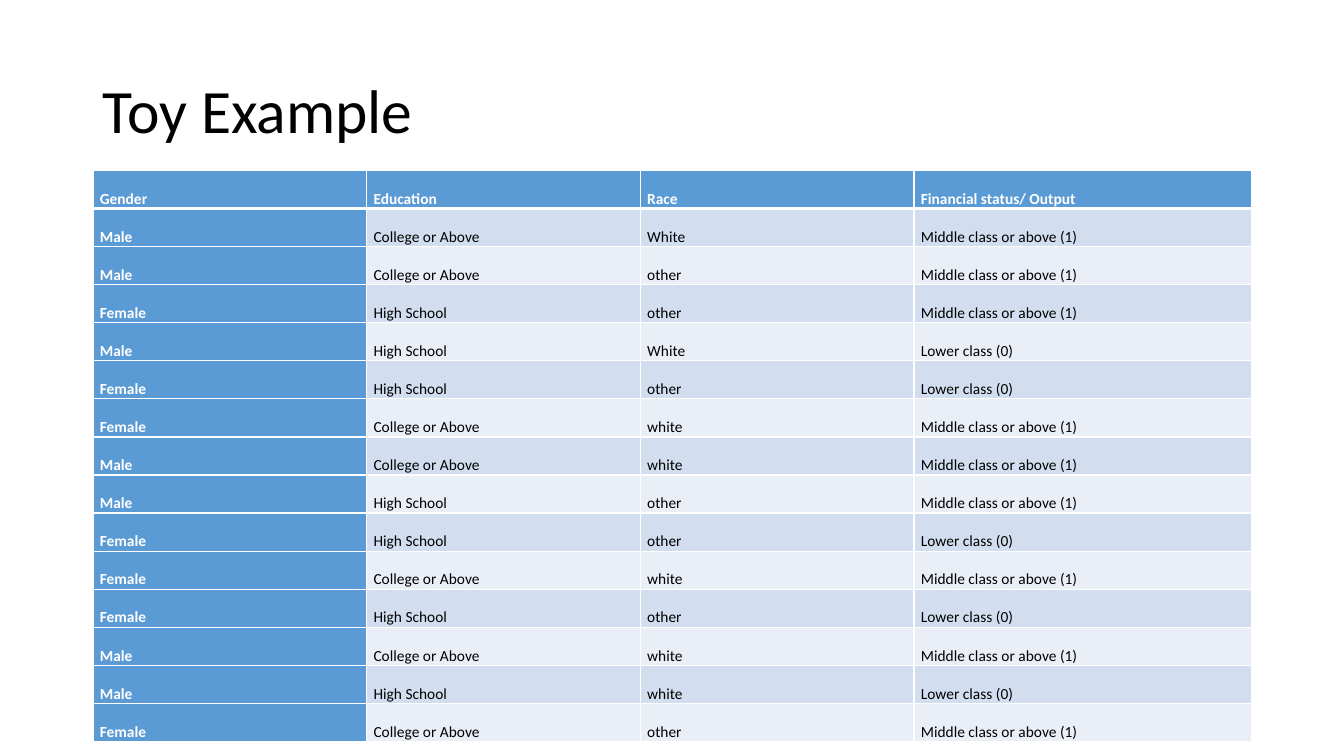
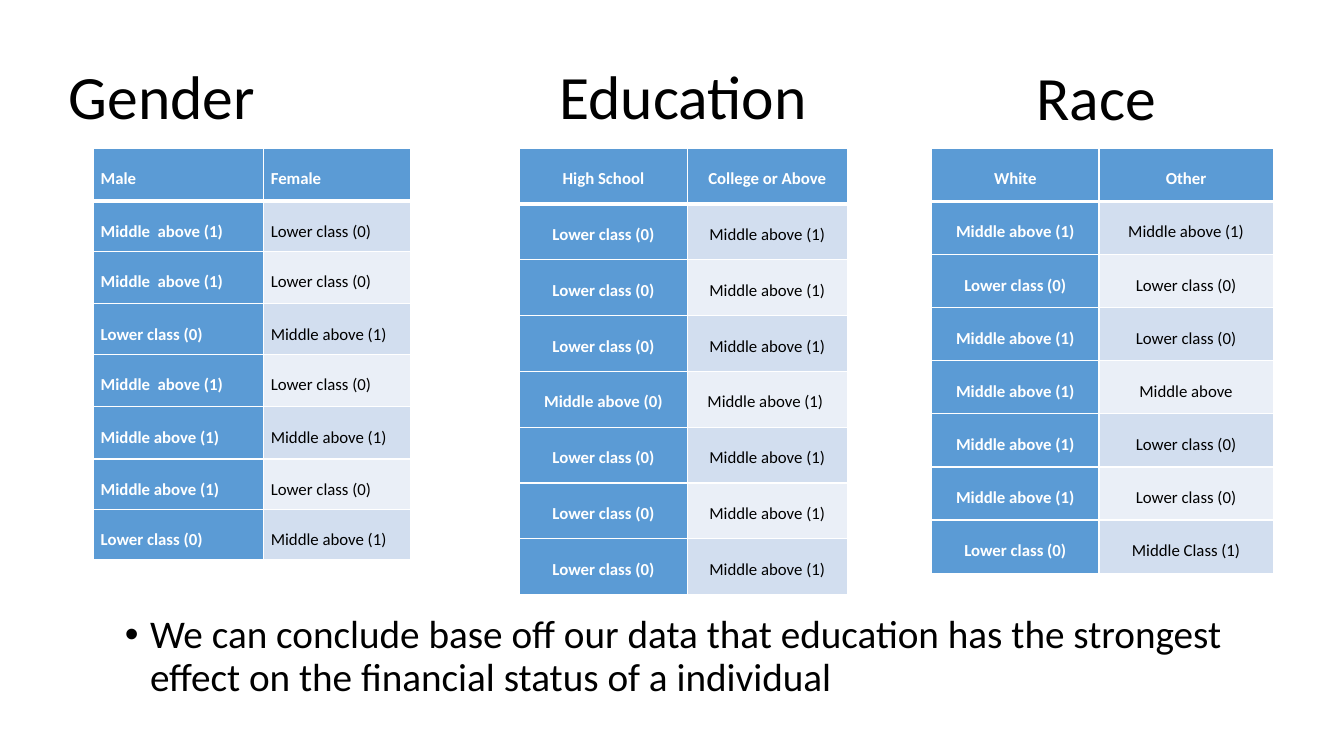
from dataclasses import dataclass

from lxml import etree
from pptx import Presentation
from pptx import util as u
from pptx.dml import color
from pptx.enum import text
from pptx.oxml import ns

COLORS = {"ink": "000000", "white": "FFFFFF", "blue": "5B9BD5",
          "band_dark": "D2DEEF", "band_light": "EAEFF7"}
FONT = "Calibri"
TITLE_SIZE = 44
BODY_SIZE = 28
LINE_SPACING = 0.9
CELL_INSET = 4.95
THIN, THICK = 1, 3

MIDDLE_CLASS = "Middle class or above (1)"
MIDDLE = "Middle above (1)"
MIDDLE_WIDE = "Middle  above (1)"
LOWER = "Lower class (0)"
COLLEGE = "College or Above"
SCHOOL = "High School"


@dataclass(frozen=True)
class Box:
    left: float
    top: float
    width: float
    height: float


@dataclass(frozen=True)
class Heading:
    text: str
    box: Box


@dataclass(frozen=True)
class DataTable:
    left: float
    top: float
    column_widths: tuple[float, ...]
    row_heights: tuple[float, ...]
    font_size: float
    alignment: text.PP_ALIGN
    rows: tuple[tuple[str, ...], ...]


SAMPLE_HEADING = Heading("Toy Example", Box(66, 28.8, 828, 104.4))
SAMPLE_TABLE = DataTable(
    66.4, 121.8, (195.5, 195.5, 195.5, 241.5), (23,) * 15, 11, text.PP_ALIGN.LEFT,
    (
        ("Gender", "Education", "Race", "Financial status/ Output"),
        ("Male", COLLEGE, "White", MIDDLE_CLASS),
        ("Male", COLLEGE, "other", MIDDLE_CLASS),
        ("Female", SCHOOL, "other", MIDDLE_CLASS),
        ("Male", SCHOOL, "White", LOWER),
        ("Female", SCHOOL, "other", LOWER),
        ("Female", COLLEGE, "white", MIDDLE_CLASS),
        ("Male", COLLEGE, "white", MIDDLE_CLASS),
        ("Male", SCHOOL, "other", MIDDLE_CLASS),
        ("Female", SCHOOL, "other", LOWER),
        ("Female", COLLEGE, "white", MIDDLE_CLASS),
        ("Female", SCHOOL, "other", LOWER),
        ("Male", COLLEGE, "white", MIDDLE_CLASS),
        ("Male", SCHOOL, "white", LOWER),
        ("Female", COLLEGE, "other", MIDDLE_CLASS),
    ),
)

GENDER_HEADING = Heading("Gender", Box(41.8, 18.7, 159.8, 104.4))
FACTOR_HEADINGS = (
    Heading("Education", Box(392.4, 18.7, 192.2, 104.4)),
    Heading("Race", Box(733, 37.4, 109.4, 68.4)),
)
FACTOR_TOP = 106
FACTOR_TABLES = (
    DataTable(
        67, FACTOR_TOP, (121.5, 104.5), (37.5, 36, 37.5, 36, 37.5, 37.5, 36, 36),
        12, text.PP_ALIGN.LEFT,
        (
            ("Male", "Female"),
            (MIDDLE_WIDE, LOWER),
            (MIDDLE_WIDE, LOWER),
            (LOWER, MIDDLE),
            (MIDDLE_WIDE, LOWER),
            (MIDDLE, MIDDLE),
            (MIDDLE, LOWER),
            (LOWER, MIDDLE),
        ),
    ),
    DataTable(
        371.3, FACTOR_TOP, (119.5, 114.5), (39.85,) * 8, 12, text.PP_ALIGN.CENTER,
        (
            (SCHOOL, COLLEGE),
            *((LOWER, MIDDLE),) * 3,
            ("Middle above (0)", MIDDLE + " "),
            *((LOWER, MIDDLE),) * 3,
        ),
    ),
    DataTable(
        665.5, FACTOR_TOP, (119.5, 124.5), (37.95,) * 8, 12, text.PP_ALIGN.CENTER,
        (
            ("White", "Other"),
            (MIDDLE, MIDDLE),
            (LOWER, LOWER),
            (MIDDLE, LOWER),
            (MIDDLE, "Middle above"),
            (MIDDLE, LOWER),
            (MIDDLE, LOWER),
            (LOWER, "Middle Class (1)"),
        ),
    ),
)

CONCLUSION = ("We can conclude base off our data that education has the strongest "
              "effect on the financial status of a individual")
CONCLUSION_BOX = Box(82, 435.6, 828, 68.4)


def rgb(name: str) -> color.RGBColor:
    return color.RGBColor.from_string(COLORS[name])


def place(shape, box: Box) -> None:
    shape.left, shape.top = u.Pt(box.left), u.Pt(box.top)
    shape.width, shape.height = u.Pt(box.width), u.Pt(box.height)


def format_runs(paragraph, size: float, color_name: str, bold: bool = False) -> None:
    for run in paragraph.runs:
        run.font.name = FONT
        run.font.size = u.Pt(size)
        run.font.bold = bold
        run.font.color.rgb = rgb(color_name)


def fill_text(shape, content: str, size: float, anchor: text.MSO_ANCHOR):
    """Write one left-aligned paragraph in the shared text style and return it."""
    frame = shape.text_frame
    frame.text = content
    frame.word_wrap = True
    frame.auto_size = text.MSO_AUTO_SIZE.NONE
    frame.vertical_anchor = anchor
    paragraph = frame.paragraphs[0]
    paragraph.alignment = text.PP_ALIGN.LEFT
    paragraph.line_spacing = LINE_SPACING
    paragraph.space_before = u.Pt(0)
    format_runs(paragraph, size, "ink")
    return paragraph


def set_heading(shape, heading: Heading) -> None:
    place(shape, heading.box)
    fill_text(shape, heading.text, TITLE_SIZE, text.MSO_ANCHOR.MIDDLE)


def add_heading(slide, heading: Heading) -> None:
    set_heading(slide.shapes.add_textbox(0, 0, 0, 0), heading)


def set_bullet(paragraph, indent: float) -> None:
    properties = paragraph._p.get_or_add_pPr()
    properties.set("marL", str(u.Pt(indent)))
    properties.set("indent", str(-u.Pt(indent)))
    etree.SubElement(properties, ns.qn("a:buFont"), typeface="Arial")
    etree.SubElement(properties, ns.qn("a:buChar"), char="•")


def set_borders(cell, top: float, bottom: float) -> None:
    properties = cell._tc.get_or_add_tcPr()
    for side, width in (("L", THIN), ("R", THIN), ("T", top), ("B", bottom)):
        line = etree.SubElement(properties, ns.qn(f"a:ln{side}"), w=str(u.Pt(width)))
        fill = etree.SubElement(line, ns.qn("a:solidFill"))
        etree.SubElement(fill, ns.qn("a:srgbClr"), val=COLORS["white"])


def format_cell(cell, row: int, column: int, data: DataTable) -> None:
    emphasized = row == 0 or column == 0
    band = "band_dark" if row % 2 else "band_light"
    set_borders(cell, THICK if row == 1 else THIN, THICK if row == 0 else THIN)
    cell.fill.solid()
    cell.fill.fore_color.rgb = rgb("blue" if emphasized else band)
    cell.margin_left = cell.margin_right = u.Pt(CELL_INSET)
    cell.margin_top = cell.margin_bottom = 0
    paragraph = cell.text_frame.paragraphs[0]
    paragraph.alignment = data.alignment
    paragraph.line_spacing = 2.0
    format_runs(paragraph, data.font_size, "white" if emphasized else "ink", emphasized)


def add_data_table(slide, data: DataTable) -> None:
    table = slide.shapes.add_table(
        len(data.rows), len(data.column_widths), u.Pt(data.left), u.Pt(data.top),
        u.Pt(sum(data.column_widths)), u.Pt(sum(data.row_heights))).table
    table.first_col = True
    for column, width in zip(table.columns, data.column_widths):
        column.width = u.Pt(width)
    for row, height in zip(table.rows, data.row_heights):
        row.height = u.Pt(height)
    for row, values in enumerate(data.rows):
        for column, value in enumerate(values):
            cell = table.cell(row, column)
            cell.text_frame.text = value
            format_cell(cell, row, column, data)


def build_sample_slide(presentation) -> None:
    slide = presentation.slides.add_slide(presentation.slide_layouts.get_by_name("Title Only"))
    set_heading(slide.shapes.title, SAMPLE_HEADING)
    add_data_table(slide, SAMPLE_TABLE)


def build_factor_slide(presentation) -> None:
    layout = presentation.slide_layouts.get_by_name("Title and Content")
    slide = presentation.slides.add_slide(layout)
    set_heading(slide.shapes.title, GENDER_HEADING)
    for data in FACTOR_TABLES:
        add_data_table(slide, data)
    for heading in FACTOR_HEADINGS:
        add_heading(slide, heading)
    body = slide.placeholders[1]
    place(body, CONCLUSION_BOX)
    set_bullet(fill_text(body, CONCLUSION, BODY_SIZE, text.MSO_ANCHOR.TOP), 18)


def main() -> None:
    presentation = Presentation()
    presentation.slide_width, presentation.slide_height = u.Pt(960), u.Pt(540)
    build_sample_slide(presentation)
    build_factor_slide(presentation)
    presentation.save("out.pptx")


if __name__ == "__main__":
    main()
